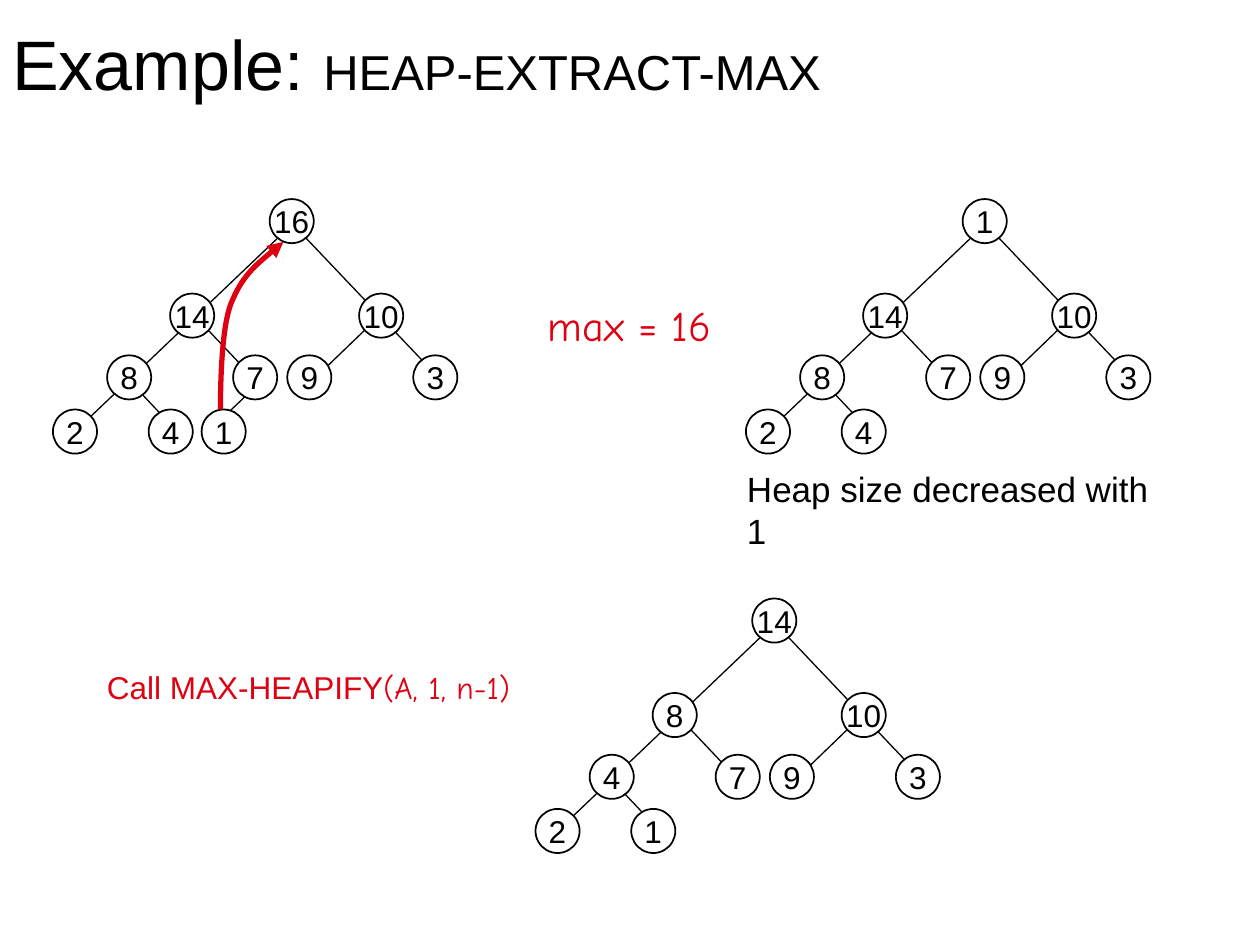
from dataclasses import dataclass

from lxml.etree import SubElement
from pptx import Presentation
from pptx.dml.color import RGBColor
from pptx.enum.shapes import MSO_CONNECTOR as Connector, MSO_SHAPE as Preset
from pptx.enum.text import MSO_ANCHOR as Anchor, PP_ALIGN as Align
from pptx.oxml.ns import qn
from pptx.slide import Slide
from pptx.util import Inches, Pt

COLORS = {"ink": "000000", "paper": "FFFFFF", "accent": "DD0111"}
SANS, HAND = "Arial", "Comic Neue"
NODE_SIZE = 0.35

# Node offsets inside a tree, in heap order: columns by row of the tree
ROWS = [0, 0.75, 1.24, 1.67]
COLUMNS = [[1.72], [0.93, 2.43], [0.43, 1.43, 1.86, 2.86], [0, 0.76, 1.18]]
NODES = [(x, y) for y, row in zip(ROWS, COLUMNS) for x in row]

# Edges as (start x, start y, end x, end y); the long ones run through several nodes
EDGES = [
    (2.05, 1.45, 2.61, 0.91),
    (1.03, 1.89, 0.50, 1.33),
    (1.62, 1.45, 1.09, 0.89),
    (3.13, 1.49, 1.80, 0.09),
    (0.18, 1.84, 1.93, 0.17),
]
TENTH_EDGE = (1.24, 1.84, 1.69, 1.41)


@dataclass(frozen=True)
class Heap:
    left: float
    top: float
    values: list[int]


@dataclass(frozen=True)
class Run:
    text: str
    size: int
    font: str = SANS


@dataclass(frozen=True)
class Label:
    box: tuple[float, float, float, float]
    runs: list[Run]
    color: str = "ink"
    anchor: Anchor = Anchor.TOP


HEAPS = [
    Heap(0.42, 1.58, [16, 14, 10, 8, 7, 9, 3, 2, 4, 1]),
    Heap(5.92, 1.58, [1, 14, 10, 8, 7, 9, 3, 2, 4]),
    Heap(4.25, 4.75, [14, 8, 10, 4, 7, 9, 3, 2, 1]),
]
LABELS = [
    Label((0, 0, 9, 0.99), [Run("Example: ", 40), Run("HEAP-EXTRACT-MAX", 28)],
          anchor=Anchor.MIDDLE),
    Label((4.25, 2.33, 1.55, 0.5), [Run("max = 16", 24, HAND)], "accent"),
    Label((5.83, 3.66, 3.61, 0.43), [Run("Heap size decreased with 1", 20)]),
    Label((0.75, 5.25, 3.51, 0.4),
          [Run("Call MAX-HEAPIFY", 18), Run("(A, 1, n-1)", 18, HAND)], "accent"),
]
# Start point, then two Bézier segments of three points each
MOVE_CURVE = [(2.25, 1.92), (2.08, 2.06), (1.92, 2.19), (1.83, 2.42),
              (1.75, 2.64), (1.75, 3.15), (1.75, 3.25)]


def rgb(name: str) -> RGBColor:
    return RGBColor.from_string(COLORS[name])


def draw_edge(group, heap: Heap, edge: tuple[float, float, float, float]) -> None:
    x1, y1, x2, y2 = edge
    connector = group.shapes.add_connector(
        Connector.STRAIGHT, Inches(heap.left + x1), Inches(heap.top + y1),
        Inches(heap.left + x2), Inches(heap.top + y2))
    connector.line.color.rgb = rgb("ink")
    connector.line.width = Pt(0.75)
    SubElement(connector._element.spPr, qn("a:effectLst"))


def draw_node(group, left: float, top: float, value: int) -> None:
    size = Inches(NODE_SIZE)
    shape = group.shapes.add_shape(Preset.OVAL, Inches(left), Inches(top), size, size)
    shape.shadow.inherit = False
    shape.fill.solid()
    shape.fill.fore_color.rgb = rgb("paper")
    shape.line.color.rgb = rgb("ink")
    shape.line.width = Pt(1)
    frame = shape.text_frame
    frame.word_wrap = False
    frame.vertical_anchor = Anchor.MIDDLE
    paragraph = frame.paragraphs[0]
    paragraph.text = str(value)
    paragraph.alignment = Align.CENTER
    paragraph.font.name = SANS
    paragraph.font.size = Pt(18)
    paragraph.font.color.rgb = rgb("ink")


def draw_heap(slide: Slide, heap: Heap) -> None:
    group = slide.shapes.add_group_shape()
    edges = EDGES + [TENTH_EDGE] if len(heap.values) == len(NODES) else EDGES
    for edge in edges:
        draw_edge(group, heap, edge)
    for (x, y), value in zip(NODES, heap.values):
        draw_node(group, heap.left + x, heap.top + y, value)


def draw_label(slide: Slide, label: Label) -> None:
    frame = slide.shapes.add_textbox(*map(Inches, label.box)).text_frame
    frame.word_wrap = True
    frame.vertical_anchor = label.anchor
    paragraph = frame.paragraphs[0]
    paragraph.font.color.rgb = rgb(label.color)
    for part in label.runs:
        run = paragraph.add_run()
        run.text = part.text
        run.font.name = part.font
        run.font.size = Pt(part.size)
        run.font.color.rgb = rgb(label.color)


def draw_move_arrow(slide: Slide) -> None:
    start, *points = [(Inches(x), Inches(y)) for x, y in MOVE_CURVE]
    builder = slide.shapes.build_freeform(*start)
    builder.add_line_segments(points, close=False)
    shape = builder.convert_to_shape()
    shape.shadow.inherit = False
    shape.fill.background()
    shape.line.color.rgb = rgb("accent")
    shape.line.width = Pt(3)
    # Turn each three line points into one Bézier segment
    outline = next(shape._element.iter(qn("a:path")))
    segments = outline.findall(qn("a:lnTo"))
    for first in range(0, len(segments), 3):
        curve = SubElement(outline, qn("a:cubicBezTo"))
        for segment in segments[first:first + 3]:
            curve.append(segment[0])
            outline.remove(segment)
    SubElement(shape.line._get_or_add_ln(), qn("a:headEnd"), type="triangle")


def main() -> None:
    presentation = Presentation()
    presentation.slide_width, presentation.slide_height = Inches(10), Inches(7.5)
    slide = presentation.slides.add_slide(presentation.slide_layouts[6])
    for heap in HEAPS:
        draw_heap(slide, heap)
    draw_move_arrow(slide)
    for label in LABELS:
        draw_label(slide, label)
    presentation.save("out.pptx")


if __name__ == "__main__":
    main()
